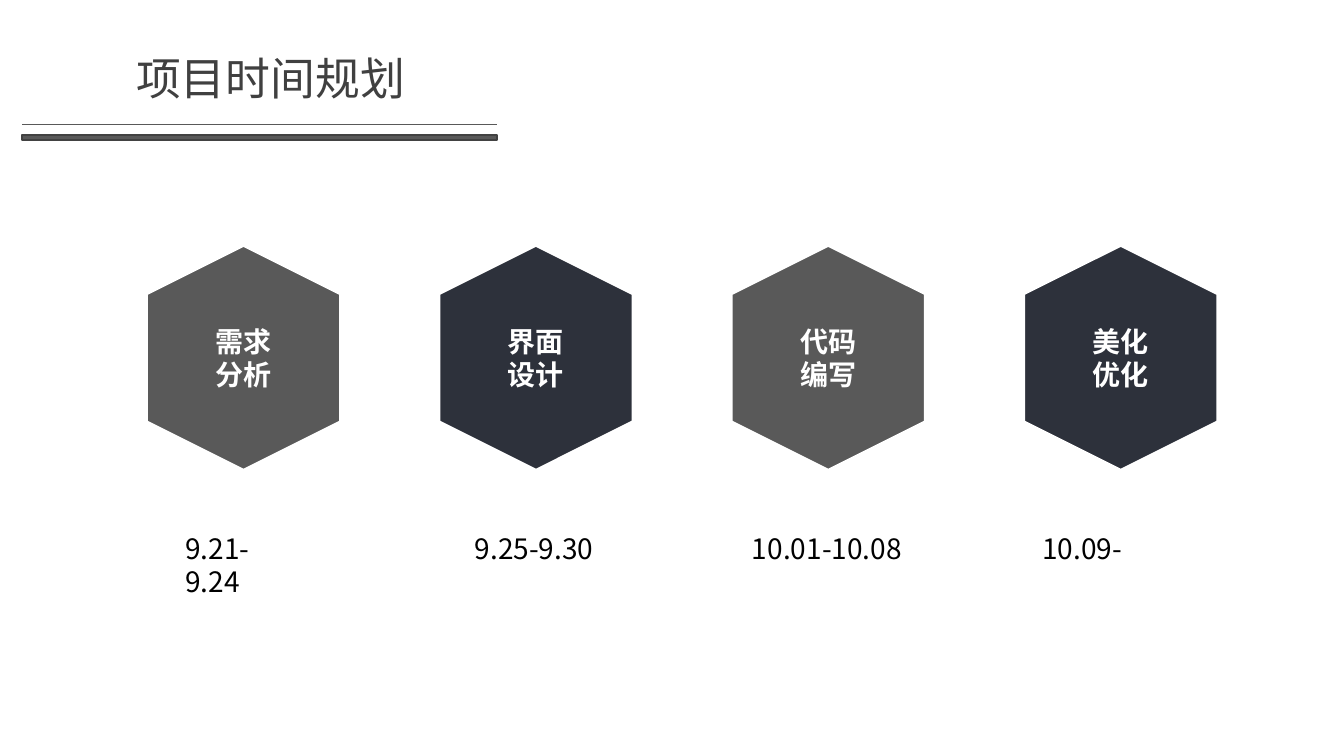
from dataclasses import dataclass

from lxml import etree
from pptx import Presentation
from pptx.dml.color import RGBColor
from pptx.enum.shapes import MSO_CONNECTOR, MSO_SHAPE
from pptx.enum.text import MSO_ANCHOR, PP_ALIGN
from pptx.oxml.ns import qn
from pptx.util import Emu, Pt

PX = 9144  # EMU per px, 100 px to the inch
HEX = MSO_SHAPE.HEXAGON
RECT = MSO_SHAPE.RECTANGLE
LINE = MSO_CONNECTOR.STRAIGHT
MIDDLE = MSO_ANCHOR.MIDDLE
CENTER = PP_ALIGN.CENTER
LEFT = PP_ALIGN.LEFT

WHITE = RGBColor(0xFF, 0xFF, 0xFF)
BLACK = RGBColor(0x00, 0x00, 0x00)
GRAY = RGBColor(0x59, 0x59, 0x59)
NAVY = RGBColor(0x2D, 0x31, 0x3B)
EDGE = RGBColor(0x42, 0x42, 0x42)
INK = RGBColor(0x40, 0x40, 0x40)

SANS = "Noto Sans CJK SC"
OPEN = "Open Sans"


@dataclass
class Phase:
    lines: tuple[str, str]
    dates: str
    left: int  # left edge of the date box
    width: int


PHASES = [
    Phase(("需求", "分析"), "9.21-9.24", 174, 135),
    Phase(("界面", "设计"), "9.25-9.30", 461, 139),
    Phase(("代码", "编写"), "10.01-10.08", 736, 171),
    Phase(("美化", "优化"), "10.09-", 1024, 173),
]
FILLS = (GRAY, NAVY)
START, STEP = 128, 290


def px(*sizes: int) -> list[Emu]:
    return [Emu(size * PX) for size in sizes]


def write(frame, lines, size: int, font: str, color: RGBColor,
          align=LEFT, bold: bool = False) -> None:
    for i, text in enumerate(lines):
        para = frame.paragraphs[0] if i == 0 else frame.add_paragraph()
        para.alignment = align
        run = para.add_run()
        run.text = text
        run.font.size = Pt(size)
        run.font.bold = bold
        run.font.color.rgb = color
        run.font.name = font
        east = etree.SubElement(run.font._element, qn("a:ea"))
        east.set("typeface", font)


def inset(frame, side: int, top: int) -> None:
    frame.margin_left, frame.margin_right = px(side, side)
    frame.margin_top, frame.margin_bottom = px(top, top)


def add_box(slide, left: int, top: int, width: int, height: int):
    frame = slide.shapes.add_textbox(*px(left, top, width, height)).text_frame
    frame.word_wrap = True
    return frame


def add_form(slide, kind, box: tuple[int, int, int, int], fill: RGBColor,
             edge: RGBColor, weight: float):
    form = slide.shapes.add_shape(kind, *px(*box))
    form.shadow.inherit = False
    form.fill.solid()
    form.fill.fore_color.rgb = fill
    form.line.color.rgb = edge
    form.line.width = Pt(weight)
    return form


def add_phase(slide, phase: Phase, left: int, fill: RGBColor) -> None:
    form = add_form(slide, HEX, (left, 257, 227, 196), fill, WHITE, 4.5)
    form.rotation = 90
    frame = form.text_frame
    frame.word_wrap = False
    frame.vertical_anchor = MIDDLE
    inset(frame, 13, 7)
    # Turn the text back upright inside the rotated hexagon
    frame._txBody.bodyPr.set("vert", "vert270")
    write(frame, phase.lines, 20, OPEN, WHITE, CENTER, True)

    dates = add_box(slide, phase.left, 522, phase.width, 44)
    write(dates, [phase.dates], 20, SANS, BLACK)


def add_head(slide) -> None:
    title = add_box(slide, 64, 50, 409, 54)
    title.vertical_anchor = MIDDLE
    inset(title, 0, 0)
    write(title, ["项目时间规划"], 32, SANS, INK, CENTER)

    # Thick bar under a thin rule
    add_form(slide, RECT, (22, 134, 471, 5), GRAY, EDGE, 1)
    rule = slide.shapes.add_connector(LINE, *px(22, 123, 493, 123))
    rule.line.color.rgb = GRAY
    rule.line.width = Pt(0.5)
    etree.SubElement(rule._element.spPr, qn("a:effectLst"))


def main() -> None:
    deck = Presentation()
    deck.slide_width, deck.slide_height = px(1333, 750)
    slide = deck.slides.add_slide(deck.slide_layouts[6])

    add_head(slide)
    for i, phase in enumerate(PHASES):
        add_phase(slide, phase, START + i * STEP, FILLS[i % 2])

    deck.save("out.pptx")


if __name__ == "__main__":
    main()
